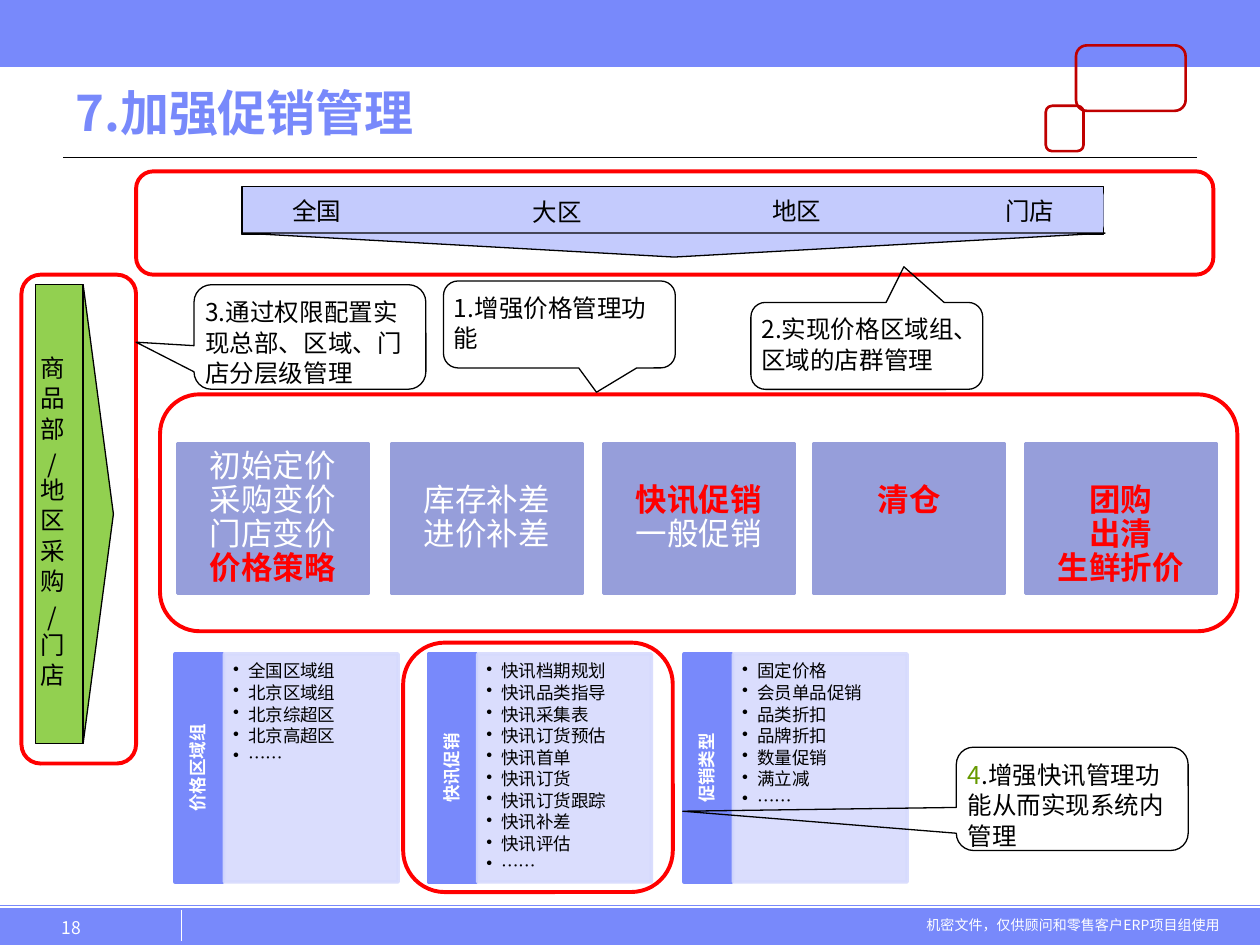
from lxml.etree import SubElement
from pptx import Presentation
from pptx.dml.color import RGBColor
from pptx.enum.shapes import MSO_CONNECTOR, MSO_SHAPE as Preset
from pptx.enum.text import MSO_ANCHOR as Anchor, PP_ALIGN as Align
from pptx.oxml.ns import qn
from pptx.util import Inches, Pt

FONT = "Noto Sans CJK SC"
COLORS = {
    "brand": "7889FB", "scope": "C4CBFD", "green": "92D050", "card": "969EDA",
    "panel": "D6DAFD", "frame": "FF0000", "ornament": "C00000",
    "accent": "669900", "black": "000000", "white": "FFFFFF",
}


def rgb(name):
    """Return the named colour."""
    return RGBColor.from_string(COLORS[name])


def add_box(slide, preset, box, fill=None, line=None, width=0.75, rotation=0):
    """Add a preset shape at a box of left, top, width and height in inches."""
    shape = slide.shapes.add_shape(preset, *map(Inches, box))
    shape.shadow.inherit = False
    shape.rotation = rotation
    if fill:
        shape.fill.solid()
        shape.fill.fore_color.rgb = rgb(fill)
    else:
        shape.fill.background()
    if line:
        shape.line.color.rgb = rgb(line)
        shape.line.width = Pt(width)
    else:
        shape.line.fill.background()
    return shape


def add_rule(slide, start, end, color, width):
    """Draw a straight line between two points in inches."""
    rule = slide.shapes.add_connector(MSO_CONNECTOR.STRAIGHT, *map(Inches, start + end))
    rule.line.color.rgb = rgb(color)
    rule.line.width = Pt(width)
    SubElement(rule._element.spPr, qn("a:effectLst"))


def style_run(run, size, color, bold=False):
    """Set the face, size, colour and weight of a run."""
    run.font.name = FONT
    run.font.size = Pt(size)
    run.font.color.rgb = rgb(color)
    run.font.bold = bold
    SubElement(run._r.get_or_add_rPr(), qn("a:ea"), typeface=FONT)


def write(shape, lines, size, color="black", bold=False, align=Align.LEFT,
          anchor=Anchor.TOP, insets=(0.05,) * 4, spacing=1.0, before=0, after=0):
    """Fill a shape with one paragraph per line in a single style."""
    frame = shape.text_frame
    frame.word_wrap = True
    frame.vertical_anchor = anchor
    (frame.margin_left, frame.margin_top,
     frame.margin_right, frame.margin_bottom) = map(Inches, insets)
    frame.text = "\n".join(lines)
    for index, paragraph in enumerate(frame.paragraphs):
        paragraph.alignment = align
        paragraph.line_spacing = spacing
        paragraph.space_before = Pt(before if index else 0)
        paragraph.space_after = Pt(after)
        for run in paragraph.runs:
            style_run(run, size, color, bold)
    return frame.paragraphs


def add_bullet(paragraph, indent):
    """Give a paragraph a hanging round bullet."""
    properties = paragraph._p.get_or_add_pPr()
    properties.set("marL", str(Inches(indent)))
    properties.set("indent", str(-Inches(indent)))
    SubElement(properties, qn("a:buChar"), char="•")


def add_page_bands(slide, box):
    """Draw the top band and the footer with page number and notice."""
    left, top, width, height = box
    bottom = top + height
    add_box(slide, Preset.RECTANGLE, (left, bottom - 0.29, width, 0.29), "brand", "brand")
    add_box(slide, Preset.RECTANGLE, (left, top, width, 0.53), "brand", "brand")
    notice = slide.shapes.add_textbox(*map(Inches, (left + 6.9, bottom - 0.26, 2.88, 0.24)))
    write(notice, ["机密文件，仅供顾问和零售客户ERP项目组使用"], 8, "white",
          align=Align.RIGHT, insets=(0.1, 0.05, 0.1, 0.05), spacing=0.9)
    add_rule(slide, (left + 1.44, bottom - 0.03), (left + 1.44, bottom - 0.28), "white", 0.75)
    add_rule(slide, (left, bottom - 0.31), (left + width, bottom - 0.31), "brand", 0.5)
    number = slide.shapes.add_textbox(*map(Inches, (left + 0.33, bottom - 0.29, 1.09, 0.29)))
    write(number, ["18"], 10, "white", insets=(0.16, 0.07, 0.1, 0.05))


def add_heading(slide, box):
    """Place the title, its rule and the corner ornament."""
    left, top, width, height = box
    title = slide.shapes.add_textbox(*map(Inches, box))
    write(title, ["7.加强促销管理"], 28, "brand", True, anchor=Anchor.MIDDLE,
          insets=(0.1, 0.05, 0.1, 0.05))
    rule_y = top + height + 0.08
    add_rule(slide, (left, rule_y), (left + width, rule_y), "black", 0.75)
    for dx, dy, w, h in [(8.04, -0.25, 0.87, 0.52), (7.8, 0.23, 0.3, 0.36)]:
        add_box(slide, Preset.ROUNDED_RECTANGLE, (left + dx, top + dy, w, h),
                line="ornament", width=1.5)


def add_scope_bar(slide, box):
    """Draw the four regional levels above a downward wedge."""
    left, top, width, height = box
    add_box(slide, Preset.RECTANGLE, box, "scope", "black")
    levels = [("全国", 0.01, 0.01), ("大区", 1.92, 0.02), ("地区", 3.82, 0.01), ("门店", 5.67, 0.01)]
    for level, dx, dy in levels:
        label = add_box(slide, Preset.ROUNDED_RECTANGLE,
                        (left + dx, top + dy, 1.17, 0.36), "scope")
        write(label, [level], 14, align=Align.CENTER, anchor=Anchor.MIDDLE, spacing=1.04)
    add_box(slide, Preset.FLOWCHART_EXTRACT, (left + 0.01, top + height - 0.01, width, 0.19),
            "scope", "black", rotation=180)


def add_department_bar(slide, box):
    """Draw the departments down a green bar with a wedge to the right."""
    left, top, width, height = box
    add_box(slide, Preset.RECTANGLE, box, "green", "black")
    departments = [(["商品部", "/"], 0.41, 1.25), (["地区采购", "/"], 1.5, 1.25), (["门店"], 2.5, 0.94)]
    for lines, dy, label_height in departments:
        label = add_box(slide, Preset.ROUNDED_RECTANGLE,
                        (left - 0.11, top + dy, 0.49, label_height))
        write(label, lines, 14, align=Align.CENTER, anchor=Anchor.MIDDLE,
              spacing=1.04, before=2.8)
    depth = 0.24
    add_box(slide, Preset.FLOWCHART_EXTRACT,
            (left + width + depth / 2 - height / 2, top + height / 2 - depth / 2, height, depth),
            "green", "black", rotation=90)


def add_price_card(slide, box, lines, highlights, lift, drop):
    """Draw one card of price functions, shifted up or down by its insets."""
    card = add_box(slide, Preset.RECTANGLE, box, "card", "card", 2)
    paragraphs = write(card, lines, 18, "white", align=Align.CENTER, anchor=Anchor.MIDDLE,
                       insets=(0.1, 0.05 + drop, 0.1, 0.05 + lift), spacing=0.9)
    for paragraph in paragraphs:
        if paragraph.text in highlights:
            style = paragraph.runs[0].font
            style.color.rgb = rgb("frame")
            style.bold = True


def add_price_row(slide, box):
    """Lay out the five price cards from left to right."""
    left, top, width, height = box
    line = 0.27
    cards = [
        (0, ["初始定价", "采购变价", "门店变价", "价格策略"], ["价格策略"], 0, 0),
        (1.7, ["库存补差", "进价补差"], [], 0, 0),
        (3.38, ["快讯促销", "一般促销"], ["快讯促销"], 0, 0),
        (5.05, ["清仓"], ["清仓"], line, 0),
        (6.73, ["团购", "出清", "生鲜折价"], ["团购", "出清", "生鲜折价"], 0, line),
    ]
    card_width = width - cards[-1][0]
    for dx, lines, highlights, lift, drop in cards:
        add_price_card(slide, (left + dx, top, card_width, height), lines, highlights, lift, drop)


def add_detail_panel(slide, box, heading, items):
    """Draw a bulleted panel with a sideways heading on its left."""
    left, top, width, height = box
    tab = 0.38
    spine = add_box(slide, Preset.RECTANGLE,
                    (left + tab / 2 - height / 2, top + height / 2 - tab / 2, height, tab),
                    "brand", "brand", 2, 270)
    write(spine, [heading], 10, "white", True, Align.CENTER, Anchor.MIDDLE,
          (0.09, 0.05, 0.09, 0.05), 0.9)
    panel = add_box(slide, Preset.RECTANGLE, (left + width - 1.38, top, 1.38, height),
                    "panel", "panel", 2)
    for color in panel._element.spPr.iter(qn("a:srgbClr")):
        SubElement(color, qn("a:alpha"), val="90000")
    for paragraph in write(panel, items, 10, insets=(0.07, 0.07, 0.09, 0.1),
                           spacing=0.9, after=1.5):
        add_bullet(paragraph, 0.12)


def add_callout(slide, box, tip, number, message):
    """Draw a numbered speech callout whose tip is given relative to its centre."""
    callout = add_box(slide, Preset.ROUNDED_RECTANGULAR_CALLOUT, box, line="black")
    callout.adjustments[0], callout.adjustments[1] = tip
    paragraph = write(callout, [number], 14, spacing=1.04)[0]
    run = paragraph.add_run()
    run.text = "." + message
    style_run(run, 14, "black")
    return paragraph.runs[0]


def main():
    """Build the slide and save it."""
    deck = Presentation()
    deck.slide_width, deck.slide_height = Inches(10), Inches(7.5)
    slide = deck.slides.add_slide(deck.slide_layouts[6])
    add_page_bands(slide, (0, 0, 10, 7.5))
    add_scope_bar(slide, (1.92, 1.48, 6.84, 0.38))
    add_department_bar(slide, (0.28, 2.26, 0.38, 3.64))
    panels = [
        (1.39, "价格区域组", ["全国区域组", "北京区域组", "北京综超区", "北京高超区", "……"]),
        (3.4, "快讯促销", ["快讯档期规划", "快讯品类指导", "快讯采集表", "快讯订货预估", "快讯首单",
                       "快讯订货", "快讯订货跟踪", "快讯补差", "快讯评估", "……"]),
        (5.43, "促销类型", ["固定价格", "会员单品促销", "品类折扣", "品牌折扣", "数量促销", "满立减", "……"]),
    ]
    for left, heading, items in panels:
        add_detail_panel(slide, (left, 5.19, 1.77, 1.81), heading, items)
    add_price_row(slide, (1.41, 3.52, 8.24, 1.19))
    for frame in [(1.27, 3.13, 8.55, 1.88), (1.08, 1.36, 8.55, 0.82),
                  (0.17, 2.18, 0.91, 3.88), (3.2, 5.1, 2.14, 1.98)]:
        add_box(slide, Preset.ROUNDED_RECTANGLE, frame, line="frame", width=2.25)
    add_callout(slide, (3.52, 2.23, 1.84, 0.69), (0.16, 0.78), "1", "增强价格管理功能")
    add_callout(slide, (5.96, 2.4, 1.84, 0.69), (0.16, -0.91), "2", "实现价格区域组、区域的店群管理")
    add_callout(slide, (1.54, 2.26, 1.84, 0.83), (-0.75, 0.05), "3",
                "通过权限配置实现总部、区域、门店分层级管理")
    number = add_callout(slide, (7.59, 5.93, 1.84, 0.82), (-1.68, 0.12), "4",
                         "增强快讯管理功能从而实现系统内管理")
    number.font.color.rgb = rgb("accent")
    add_heading(slide, (0.5, 0.61, 9, 0.56))
    deck.save("out.pptx")


if __name__ == "__main__":
    main()
